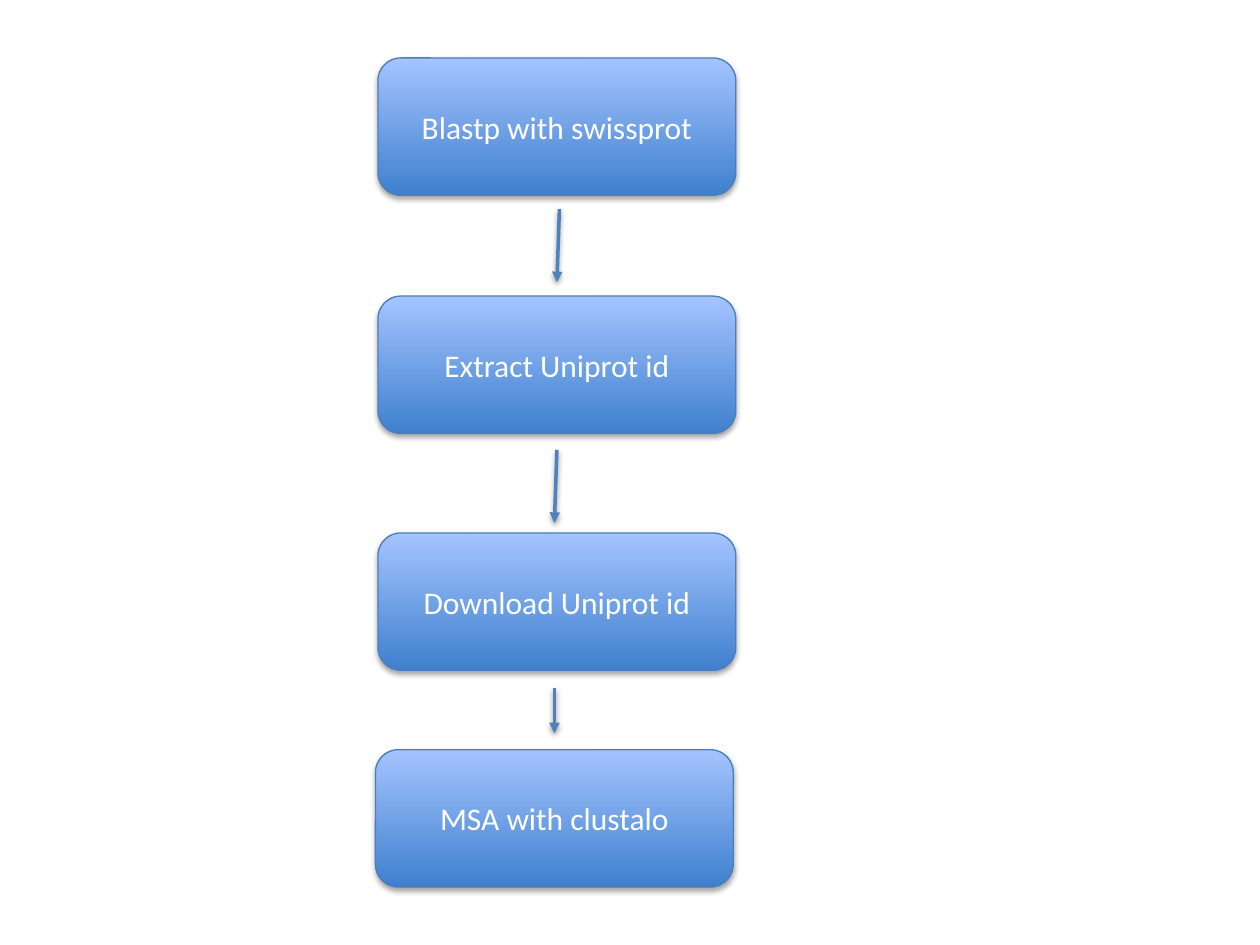
import pptx
import pptx.util
import pptx.dml.color
import pptx.enum.shapes
import pptx.enum.text
import pptx.oxml
import pptx.oxml.ns

Inches = pptx.util.Inches
Pt = pptx.util.Pt
RGBColor = pptx.dml.color.RGBColor

WHITE = RGBColor(0xFF, 0xFF, 0xFF)
BOX_BOTTOM = RGBColor(0x3F, 0x80, 0xCE)
BOX_TOP = RGBColor(0xA4, 0xC4, 0xFF)
BOX_EDGE = RGBColor(0x4B, 0x7E, 0xBC)
ARROW_BLUE = RGBColor(0x4F, 0x81, 0xBD)
SHADOW_BLACK = RGBColor(0, 0, 0)

BOX_WIDTH, BOX_HEIGHT = 2.84, 1.09
STEPS = [  # text, left, top
    ("Blastp with swissprot", 3, 0.46),
    ("Extract Uniprot id", 3, 2.35),
    ("Download Uniprot id", 3, 4.23),
    ("MSA with clustalo", 2.98, 5.95),
]
ARROWS = [  # start, end
    ((4.44, 1.66), (4.42, 2.24)),
    ((4.42, 3.57), (4.4, 4.15)),
    ((4.4, 5.46), (4.4, 5.82)),
]
BOX_SHADOW = {"distance": 1.8, "opacity": 35}
ARROW_SHADOW = {"distance": 1.6, "opacity": 38}
FRAME_FORMAT = {"word_wrap": True,
                "vertical_anchor": pptx.enum.text.MSO_ANCHOR.MIDDLE}
FONT_FORMAT = {"name": "Calibri", "size": Pt(18)}


def apply_format(target, values):
    for name, value in values.items():
        setattr(target, name, value)


def style_line(line, color, width):
    line.color.rgb = color
    line.width = Pt(width)


def add_shadow(shape, distance, opacity):
    """Cast a soft shadow straight down; the line must be styled first."""
    properties = shape._element.spPr
    for old in properties.findall(pptx.oxml.ns.qn("a:effectLst")):
        properties.remove(old)
    properties.append(pptx.oxml.parse_xml(
        f'<a:effectLst {pptx.oxml.ns.nsdecls("a")}>'
        f'<a:outerShdw blurRad="{Pt(3.1)}" dist="{Pt(distance)}" '
        f'dir="5400000" rotWithShape="0"><a:srgbClr val="{SHADOW_BLACK}">'
        f'<a:alpha val="{opacity * 1000}"/></a:srgbClr>'
        '</a:outerShdw></a:effectLst>'))


def add_step(page, text, left, top, width, height):
    box = page.shapes.add_shape(
        pptx.enum.shapes.MSO_SHAPE.ROUNDED_RECTANGLE,
        Inches(left), Inches(top), Inches(width), Inches(height))
    # Gradient, edge and shadow
    box.fill.gradient()
    box.fill.gradient_angle = 90
    for stop, color in zip(box.fill.gradient_stops, (BOX_BOTTOM, BOX_TOP)):
        stop.color.rgb = color
    style_line(box.line, BOX_EDGE, 0.75)
    add_shadow(box, **BOX_SHADOW)
    # Label
    apply_format(box.text_frame, FRAME_FORMAT)
    para = box.text_frame.paragraphs[0]
    para.alignment = pptx.enum.text.PP_ALIGN.CENTER
    span = para.add_run()
    span.text = text
    apply_format(span.font, FONT_FORMAT)
    span.font.color.rgb = WHITE


def add_arrow(page, start, end):
    arrow = page.shapes.add_connector(
        pptx.enum.shapes.MSO_CONNECTOR.STRAIGHT,
        *(Inches(value) for value in (*start, *end)))
    style_line(arrow.line, ARROW_BLUE, 2)
    arrow.line._get_or_add_ln().append(pptx.oxml.parse_xml(
        f'<a:tailEnd {pptx.oxml.ns.nsdecls("a")} type="triangle"/>'))
    add_shadow(arrow, **ARROW_SHADOW)


def add_flowchart(page):
    for text, left, top in STEPS:
        add_step(page, text, left, top, BOX_WIDTH, BOX_HEIGHT)
    for start, end in ARROWS:
        add_arrow(page, start, end)


def main():
    deck = pptx.Presentation()
    deck.slide_width, deck.slide_height = Inches(10), Inches(7.5)
    page = deck.slides.add_slide(deck.slide_layouts[6])  # blank layout
    add_flowchart(page)
    deck.save("out.pptx")


if __name__ == "__main__":
    main()
